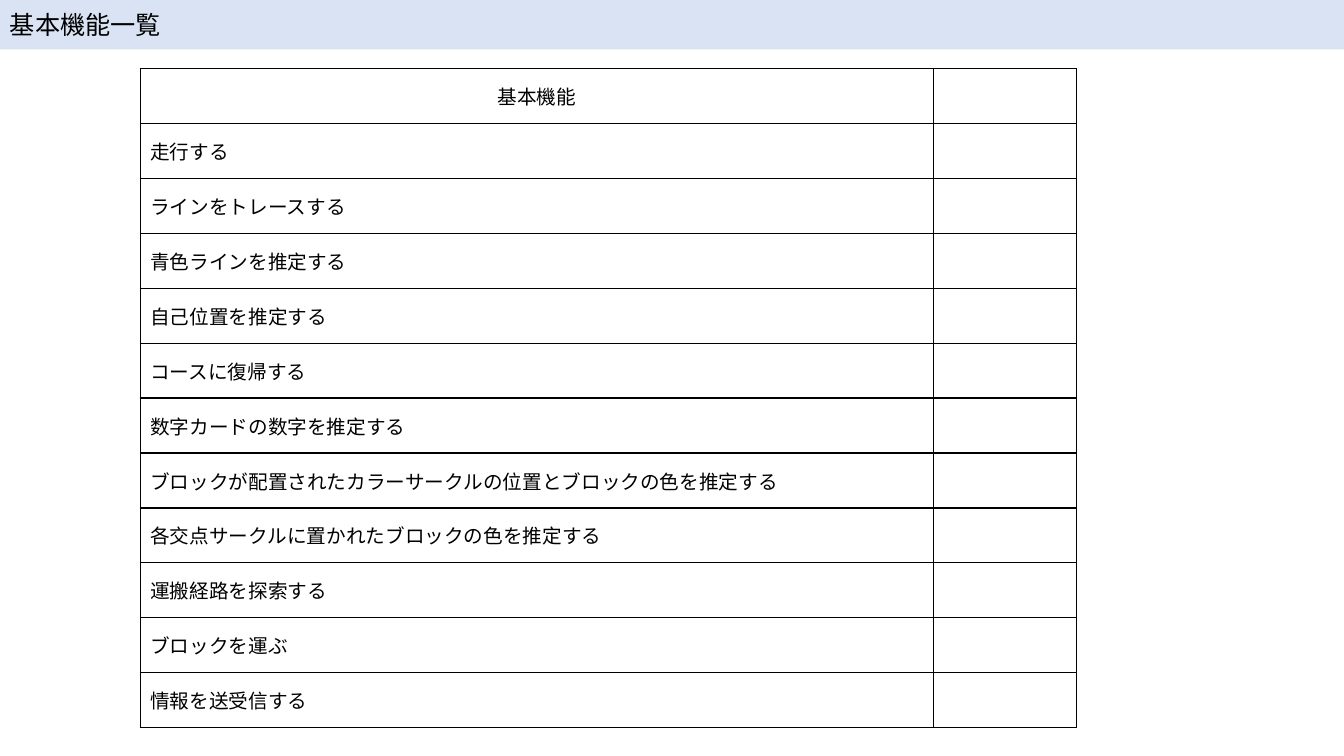
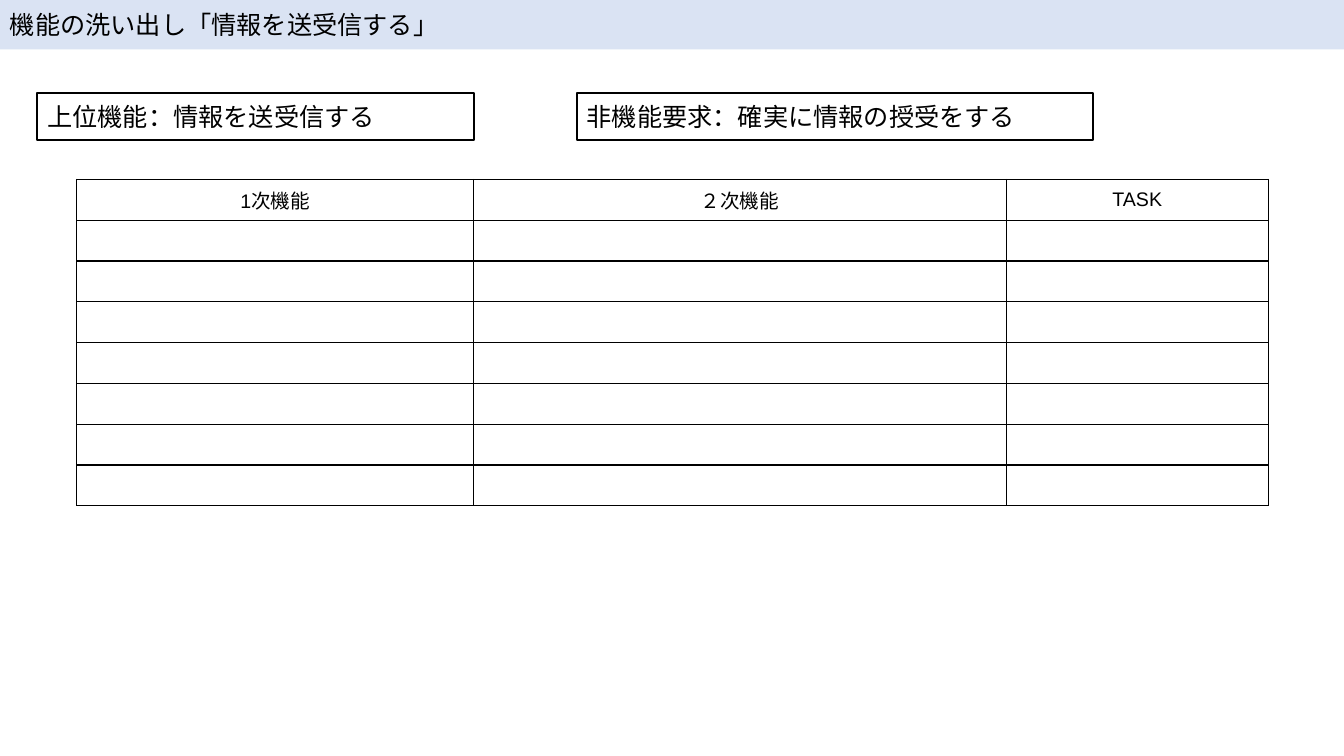
from lxml.etree import SubElement
from pptx import Presentation
from pptx.dml.color import RGBColor as RGB
from pptx.enum.shapes import MSO_SHAPE as SHAPE
from pptx.enum.text import MSO_ANCHOR as ANCHOR, PP_ALIGN as ALIGN
from pptx.oxml.ns import qn
from pptx.util import Inches, Pt

COLORS = {"band": "DAE3F3", "paper": "FFFFFF", "ink": "000000"}
LATIN, CJK = "Arial", "Noto Sans CJK JP"
WIDTH, HEIGHT = 13.33, 7.5
BAND_HEIGHT = 0.49

FEATURES = [
    "走行する",
    "ラインをトレースする",
    "青色ラインを推定する",
    "自己位置を推定する",
    "コースに復帰する",
    "数字カードの数字を推定する",
    "ブロックが配置されたカラーサークルの位置とブロックの色を推定する",
    "各交点サークルに置かれたブロックの色を推定する",
    "運搬経路を探索する",
    "ブロックを運ぶ",
    "情報を送受信する",
]


def color(name):
    return RGB.from_string(COLORS[name])


def style_text(p, size, font, align=ALIGN.LEFT):
    p.alignment = align
    p.font.size = Pt(size)
    p.font.name = font
    p.font.color.rgb = color("ink")
    props = p._p.pPr.find(qn("a:defRPr"))
    SubElement(props, qn("a:ea"), typeface=CJK)


def add_box(s, text, box, fill, line=None):
    sp = s.shapes.add_shape(SHAPE.RECTANGLE, *map(Inches, box))
    sp.shadow.inherit = False
    sp.fill.solid()
    sp.fill.fore_color.rgb = color(fill)
    if line:
        sp.line.color.rgb = color("ink")
        sp.line.width = Pt(line)
    else:
        sp.line.fill.background()
    tf = sp.text_frame
    tf.word_wrap = True
    tf.vertical_anchor = ANCHOR.MIDDLE
    tf.text = text
    style_text(tf.paragraphs[0], 18, CJK)


def add_borders(cell):
    props = cell._tc.get_or_add_tcPr()
    for i, side in enumerate(("lnL", "lnR", "lnT", "lnB")):
        ln = props.makeelement(qn(f"a:{side}"), {"w": str(Pt(1))})
        fill = SubElement(ln, qn("a:solidFill"))
        SubElement(fill, qn("a:srgbClr"), val=COLORS["ink"])
        props.insert(i, ln)


def add_grid(s, rows, left, top, widths, row_height):
    frame = s.shapes.add_table(
        len(rows), len(widths), Inches(left), Inches(top),
        Inches(sum(widths)), Inches(row_height * len(rows)))
    table = frame.table
    table.first_row = table.horz_banding = False
    for col, width in zip(table.columns, widths):
        col.width = Inches(width)
    for r, texts in enumerate(rows):
        table.rows[r].height = Inches(row_height)
        for c, text in enumerate(texts):
            cell = table.cell(r, c)
            cell.fill.solid()
            cell.fill.fore_color.rgb = color("paper")
            add_borders(cell)
            cell.vertical_anchor = ANCHOR.MIDDLE
            cell.text = text
            font, align = (CJK, ALIGN.LEFT) if r else (LATIN, ALIGN.CENTER)
            style_text(cell.text_frame.paragraphs[0], 14, font, align)


def add_titled_slide(prs, title):
    s = prs.slides.add_slide(prs.slide_layouts[6])
    add_box(s, title, (0, 0, WIDTH, BAND_HEIGHT), "band")
    return s


def feature_list_slide(prs):
    s = add_titled_slide(prs, "基本機能一覧")
    rows = [(text, "") for text in ["基本機能", *FEATURES]]
    add_grid(s, rows, 1.39, 0.68, (7.87, 1.42), 0.545)


def breakdown_slide(prs):
    feature = FEATURES[-1]
    s = add_titled_slide(prs, f"機能の洗い出し「{feature}」")
    rows = [("1次機能", "２次機能", "TASK")] + [("", "", "")] * 7
    add_grid(s, rows, 0.76, 1.78, (3.94, 5.28, 2.6), 0.405)
    for text, left, width in (
        (f"上位機能：{feature}", 0.37, 4.33),
        ("非機能要求：確実に情報の授受をする", 5.72, 5.12),
    ):
        add_box(s, text, (left, 0.92, width, 0.47), "paper", 1.5)


def main():
    prs = Presentation()
    prs.slide_width, prs.slide_height = Inches(WIDTH), Inches(HEIGHT)
    feature_list_slide(prs)
    breakdown_slide(prs)
    prs.save("out.pptx")


if __name__ == "__main__":
    main()
